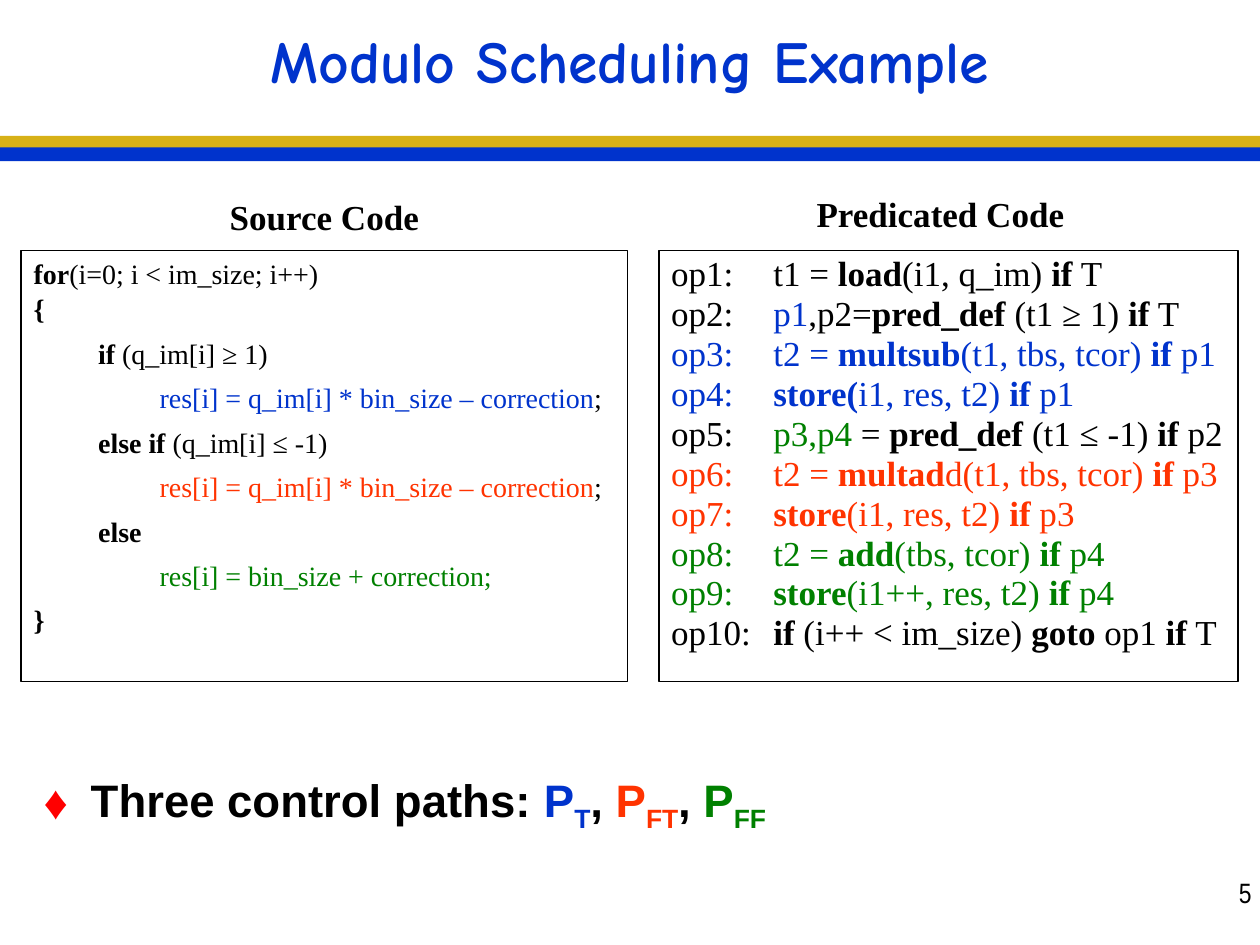
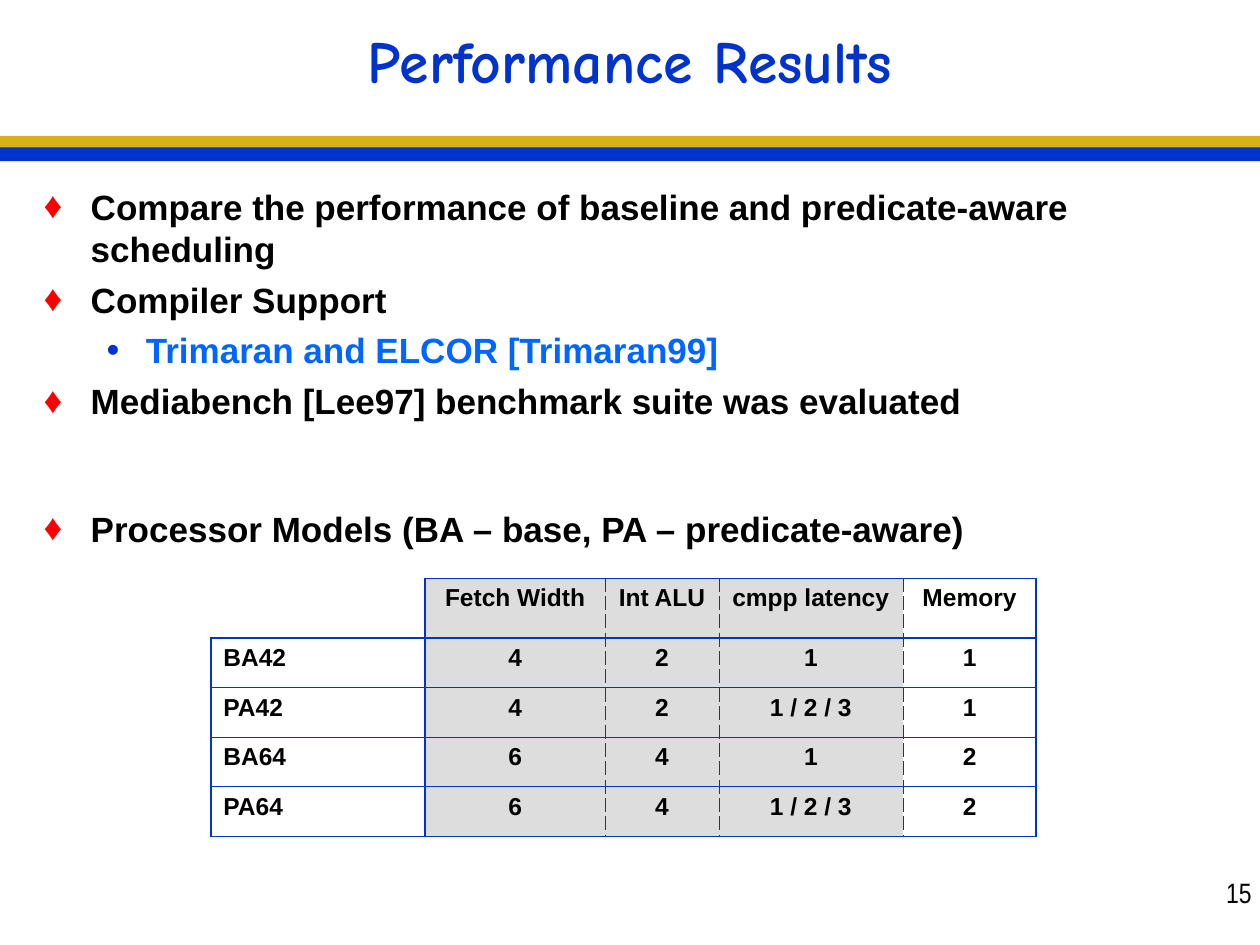
from dataclasses import dataclass

from lxml import etree
from pptx import Presentation
from pptx.dml.color import RGBColor
from pptx.enum.shapes import MSO_SHAPE
from pptx.enum.text import MSO_ANCHOR, MSO_AUTO_SIZE, PP_ALIGN
from pptx.oxml.ns import qn
from pptx.util import Cm, Pt

RECT = MSO_SHAPE.RECTANGLE
TOP, MIDDLE = MSO_ANCHOR.TOP, MSO_ANCHOR.MIDDLE
FIXED = MSO_AUTO_SIZE.NONE
LEFT, MID, RIGHT = PP_ALIGN.LEFT, PP_ALIGN.CENTER, PP_ALIGN.RIGHT


@dataclass(frozen=True)
class Theme:
    # Colours
    blue: str = "0033CC"
    gold: str = "D7B117"
    red: str = "FF0000"
    orange: str = "FF3300"
    green: str = "008000"
    sky: str = "0066FF"
    black: str = "000000"
    gray: str = "DDDDDD"
    white: str = "FFFFFF"
    # Fonts
    head: str = "Comic Neue"
    sans: str = "Arial"
    thin: str = "Arial Narrow"
    serif: str = "Times New Roman"
    # Type sizes
    title: int = 34
    big: int = 26
    body: int = 20
    small: int = 16
    cell: int = 14


LOOK = Theme()
BLACK, BLUE, ORANGE, GREEN = LOOK.black, LOOK.blue, LOOK.orange, LOOK.green

# Code lines are (colour, text) parts; each "|" turns bold on or off
STEP = "res[i] = q_im[i] * bin_size – correction"
SOURCE = [
    [(BLACK, "|for|(i=0; i < im_size; i++)")],
    [(BLACK, "|{")],
    [(BLACK, "|\tif |(q_im[i] ≥ 1)")],
    [(BLUE, "\t\t" + STEP), (BLACK, ";")],
    [(BLACK, "|\telse if |(q_im[i] ≤ -1)")],
    [(ORANGE, "\t\t" + STEP), (BLACK, ";")],
    [(BLACK, "|\telse")],
    [(GREEN, "\t\tres[i] = bin_size + correction;")],
    [(BLACK, "|}")],
]
OPS = [
    [(BLACK, "t1 = |load|(i1, q_im) |if| T")],
    [(BLACK, ""), (BLUE, "p1"), (BLACK, ",p2=|pred_def |(t1 ≥ 1) |if| T")],
    [(BLUE, "t2 = |multsub|(t1, tbs, tcor) |if| p1")],
    [(BLUE, "|store(|i1, res, t2) |if| p1")],
    [(BLACK, ""), (GREEN, "p3,p4 "), (BLACK, "= |pred_def |(t1 ≤ -1) |if| p2")],
    [(ORANGE, "t2 = |multad|d(t1, tbs, tcor) |if| p3")],
    [(ORANGE, "|store|(i1, res, t2) |if| p3")],
    [(GREEN, "t2 = |add|(tbs, tcor) |if| p4")],
    [(GREEN, "|store|(i1++, res, t2) |if| p4")],
    [(BLACK, "|if| (i++ < im_size) |goto| op1 |if| T")],
]
PATHS = [("T", BLUE), ("FT", ORANGE), ("FF", GREEN)]

POINTS = [  # text, level, space before
    ("Compare the performance of baseline and predicate-aware scheduling", 0, 0),
    ("Compiler Support", 0, 5),
    ("Trimaran and ELCOR [Trimaran99]", 1, 5),
    ("Mediabench [Lee97] benchmark suite was evaluated", 0, 5),
    ("Processor Models (BA – base, PA – predicate-aware)", 0, 49),
]
MODELS = [
    ["", "Fetch Width", "Int ALU", "cmpp latency", "Memory"],
    ["BA42", "4", "2", "1", "1"],
    ["PA42", "4", "2", "1 / 2 / 3", "1"],
    ["BA64", "6", "4", "1", "2"],
    ["PA64", "6", "4", "1 / 2 / 3", "2"],
]


def color(code):
    return RGBColor.from_string(code)


def place(at):
    return [Cm(n) for n in at]


def node(top, tag, **attrs):
    return etree.SubElement(top, qn(tag), attrs)


class Deck:
    """Holds the style, the file and the current slide."""

    def __init__(self, look):
        self.look = look
        self.file = Presentation()
        self.file.slide_width, self.file.slide_height = Cm(25.4), Cm(19.05)
        self.slide = None

    # Frame shared by every slide
    def start(self, title, page):
        look = self.look
        self.slide = self.file.slides.add_slide(self.file.slide_layouts[5])
        for top, fill in ((2.74, look.gold), (2.97, look.blue)):
            self.rect((0, top, 25.4, 0.28), fill=fill)
        self.label((22.86, 17.53, 2.62, 0.94), page, look.thin, look.small, False, RIGHT)
        head = self.slide.shapes.title
        head.left, head.top, head.width, head.height = place((0.63, 0.2, 24.13, 2.34))
        frame = head.text_frame
        frame.text = title
        frame.auto_size, frame.vertical_anchor = FIXED, MIDDLE
        para = frame.paragraphs[0]
        para.alignment, para.line_spacing = MID, 0.75
        self.style(para.runs[0], look.head, look.title, look.blue, True)

    def style(self, run, face, size, tone, bold=False):
        font = run.font
        font.name, font.size, font.bold = face, Pt(size), bold
        font.color.rgb = color(tone)

    def rect(self, at, fill=None, line=None):
        shape = self.slide.shapes.add_shape(RECT, *place(at))
        shape.shadow.inherit = False
        if fill:
            shape.fill.solid()
            shape.fill.fore_color.rgb = color(fill)
        else:
            shape.fill.background()
        if line:
            shape.line.color.rgb = color(line)
            shape.line.width = Pt(1)
        else:
            shape.line.fill.background()
        return shape

    def text(self, at):
        frame = self.slide.shapes.add_textbox(*place(at)).text_frame
        frame.word_wrap = True
        return frame

    def label(self, at, text, face, size, bold, align):
        frame = self.text(at)
        frame.text = text
        para = frame.paragraphs[0]
        para.alignment = align
        self.style(para.runs[0], face, size, self.look.black, bold)

    def para(self, frame, first):
        return frame.paragraphs[0] if first else frame.add_paragraph()

    # Framed code listing; gaps holds (line spacing, space before) by line
    def code(self, at, lines, size, stops, gaps):
        frame = self.rect(at, line=self.look.black).text_frame
        frame.word_wrap, frame.vertical_anchor = True, TOP
        for i, (line, (lead, gap)) in enumerate(zip(lines, gaps)):
            para = self.para(frame, i == 0)
            tabs = node(para._p.get_or_add_pPr(), "a:tabLst")
            for stop in stops:
                node(tabs, "a:tab", pos=str(Cm(stop)), algn="l")
            para.alignment, para.line_spacing = LEFT, lead
            para.space_before = Pt(gap if i else 0)
            for tone, text in line:
                for k, part in enumerate(text.split("|")):
                    if part:
                        run = para.add_run()
                        run.text = part
                        self.style(run, self.look.serif, size, tone, k % 2 == 1)

    def bullet(self, para, level, gap):
        look = self.look
        left, hang, mark, tone = (
            (0.95, 0.95, "♦", look.red), (2.06, 0.79, "•", look.blue))[level]
        prop = para._p.get_or_add_pPr()
        prop.set("marL", str(Cm(left)))
        prop.set("indent", str(-Cm(hang)))
        node(node(prop, "a:buClr"), "a:srgbClr", val=tone)
        node(prop, "a:buSzPct", val="105000")
        node(prop, "a:buFont", typeface=look.sans)
        node(prop, "a:buChar", char=mark)
        para.level, para.space_before = level, Pt(gap)

    def points(self, at, items):
        look = self.look
        frame = self.text(at)
        for i, (text, level, gap) in enumerate(items):
            para = self.para(frame, i == 0)
            para.text = text
            self.bullet(para, level, gap)
            tone = look.sky if level else look.black
            self.style(para.runs[0], look.sans, look.body, tone, True)

    # One bullet whose named items carry a subscript
    def paths(self, at, lead, names):
        look = self.look
        para = self.text(at).paragraphs[0]
        self.bullet(para, 0, 0)
        parts = [(lead, look.black, False)]
        for i, (sub, tone) in enumerate(names):
            if i:
                parts.append((", ", look.black, False))
            parts += [("P", tone, False), (sub, tone, True)]
        for text, tone, low in parts:
            run = para.add_run()
            run.text = text
            self.style(run, look.sans, look.big, tone, True)
            if low:
                run._r.get_or_add_rPr().set("baseline", "-25000")

    def edge(self, cell, side, width, dash="solid"):
        line = node(cell._tc.get_or_add_tcPr(), "a:ln" + side, w=str(Pt(width)))
        if width:
            node(node(line, "a:solidFill"), "a:srgbClr", val=self.look.blue)
            node(line, "a:prstDash", val=dash)
        else:
            node(line, "a:noFill")

    def table(self, at, data, widths, heights):
        look = self.look
        grid = self.slide.shapes.add_table(len(data), len(widths), *place(at)).table
        grid.first_row = grid.horz_banding = False
        for col, width in zip(grid.columns, widths):
            col.width = Cm(width)
        for row, height in zip(grid.rows, heights):
            row.height = Cm(height)
        # Outer and header rules are heavy, inner columns dashed
        across = [(1.08,) if c in (0, 1, len(widths)) else (0.11, "dash")
                  for c in range(len(widths) + 1)]
        down = [(1.08,) if r in (0, 1, len(data)) else (0.45,)
                for r in range(len(data) + 1)]
        for r, row in enumerate(data):
            for c, text in enumerate(row):
                cell = grid.cell(r, c)
                blank = r == c == 0
                self.edge(cell, "L", *((0,) if blank else across[c]))
                self.edge(cell, "R", *across[c + 1])
                self.edge(cell, "T", *((0,) if blank else down[r]))
                self.edge(cell, "B", *down[r + 1])
                if c:
                    cell.fill.solid()
                    cell.fill.fore_color.rgb = color(look.gray if c < 4 else look.white)
                else:
                    cell.fill.background()
                cell.text = text
                para = cell.text_frame.paragraphs[0]
                para.alignment = MID if c else LEFT
                if blank:
                    para.font.size = Pt(look.cell)
                for run in para.runs:
                    self.style(run, look.sans, look.cell, look.black, True)


def main():
    deck = Deck(LOOK)

    # Source code beside its predicated form
    deck.start("Modulo Scheduling Example", "5")
    deck.code((0.43, 5.05, 12.22, 8.69), SOURCE, LOOK.small, (1.3, 2.54),
              [(1.0, 1)] * 2 + [(0.8, 10)] * 7)
    ops = [[(line[0][0], f"op{n}:\t" + line[0][1])] + line[1:]
           for n, line in enumerate(OPS, 1)]
    deck.code((13.28, 5.05, 11.68, 8.69), ops, LOOK.body, (2.06,),
              [(0.9, 1.2)] * len(ops))
    for at, name in (((0.43, 3.81, 12.22, 1.12), "Source Code"),
                     ((13.13, 3.76, 11.66, 1.12), "Predicated Code")):
        deck.label(at, name, LOOK.serif, LOOK.body, True, MID)
    deck.paths((0.63, 15.44, 19.48, 1.7), "Three control paths: ", PATHS)

    # Setup of the measurements
    deck.start("Performance Results", "15")
    deck.points((0.63, 3.61, 24.13, 8.38), POINTS)
    deck.table((4.25, 11.66, 16.64, 5.2), MODELS,
               (4.32, 3.63, 2.29, 3.71, 2.69), [1.2] + [1.0] * 4)

    deck.file.save("out.pptx")


if __name__ == "__main__":
    main()
